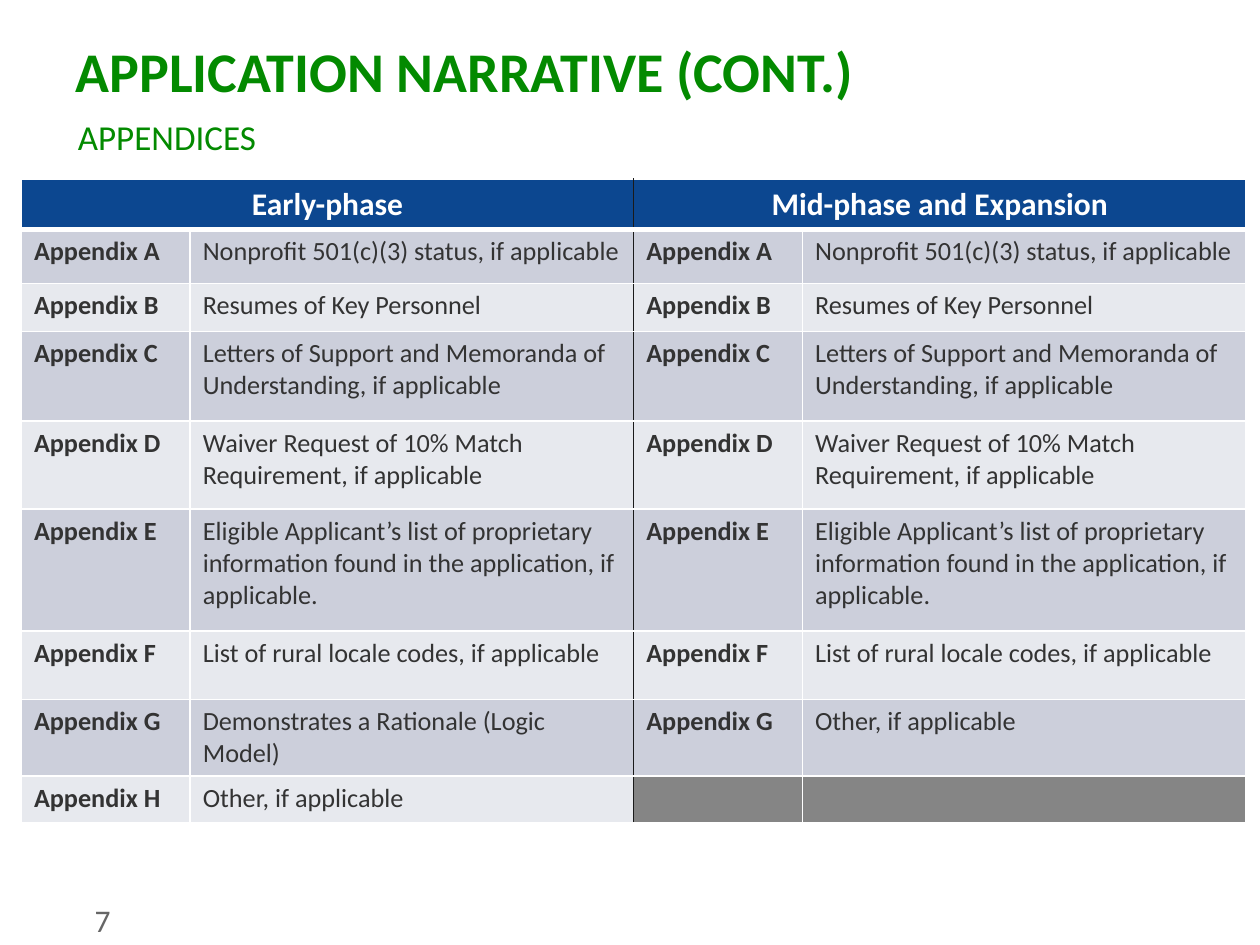
from lxml.etree import SubElement as Sub
from pptx import Presentation
from pptx.dml.color import RGBColor
from pptx.enum.text import MSO_ANCHOR as Anchor, PP_ALIGN as Align
from pptx.oxml.ns import qn
from pptx.util import Inches, Pt

GREEN, WHITE, DARK = "038A00", "FFFFFF", "1A1A1A"


def write(frame, text, size, color, bold=False, align=Align.LEFT):
    frame.word_wrap = True
    para = frame.paragraphs[0]
    para.text = text
    para.alignment = align
    font = para.font
    font.name, font.size, font.bold = "Calibri", Pt(size), bold
    font.color.rgb = RGBColor.from_string(color)


def border(cell, side, color, width):
    """Add one cell border; sides must come in the order L, R, T, B."""
    line = Sub(cell._tc.get_or_add_tcPr(), qn(f"a:ln{side}"), w=str(Pt(width)))
    fill = Sub(line, qn("a:solidFill"))
    Sub(fill, qn("a:srgbClr"), val=color)


prs = Presentation()
prs.slide_width, prs.slide_height = Inches(10), Inches(7.5)
slide = prs.slides.add_slide(prs.slide_layouts[5])

title = slide.shapes.title
title.left, title.top = Inches(0.5), Inches(0.25)
title.width, title.height = Inches(9), Inches(0.62)
title.text_frame.vertical_anchor = Anchor.MIDDLE
write(title.text_frame, "APPLICATION NARRATIVE (CONT.)", 32, GREEN, True)

topic = slide.shapes.add_textbox(Inches(0.52), Inches(0.87), Inches(9), Inches(0.55))
write(topic.text_frame, "APPENDICES", 20, GREEN)

number = slide.shapes.add_textbox(Inches(0.75), Inches(7.1), Inches(0.58), Inches(0.4))
number.text_frame.margin_left = number.text_frame.margin_right = 0
write(number.text_frame, "7", 18, "666666")

# Appendices are lettered from A in both phases
shared = [
    "Nonprofit 501(c)(3) status, if applicable",
    "Resumes of Key Personnel",
    "Letters of Support and Memoranda of Understanding, if applicable",
    "Waiver Request of 10% Match Requirement, if applicable",
    "Eligible Applicant’s list of proprietary information found in the "
    "application, if applicable.",
    "List of rural locale codes, if applicable",
]
other = "Other, if applicable"
phases = {
    "Early-phase": shared + ["Demonstrates a Rationale (Logic Model)", other],
    "Mid-phase and Expansion": shared + [other],
}
widths = [1.34, 3.52] * 2
heights = [0.39, 0.43, 0.38, 0.71, 0.7, 0.97, 0.54, 0.61, 0.37]

frame = slide.shapes.add_table(
    len(heights), len(widths), Inches(0.17), Inches(1.42),
    Inches(sum(widths)), Inches(sum(heights)))
table = frame.table
for col, width in zip(table.columns, widths):
    col.width = Inches(width)
for row, height in zip(table.rows, heights):
    row.height = Inches(height)

for r in range(len(heights)):
    for c in range(len(widths)):
        cell = table.cell(r, c)
        border(cell, "L", DARK if c == 2 else WHITE, 1)
        border(cell, "R", DARK if c == 1 or (r, c) == (0, 0) else WHITE, 1)
        border(cell, "T", WHITE, 3 if r == 1 else 1)
        border(cell, "B", WHITE, 3 if r == 0 else 1)
        cell.fill.solid()
        band = "0C4790" if r == 0 else "CCCFDB" if r % 2 else "E7E9EE"
        cell.fill.fore_color.rgb = RGBColor.from_string(band)

for c, (phase, items) in zip((0, 2), phases.items()):
    head = table.cell(0, c)
    head.merge(table.cell(0, c + 1))
    head.vertical_anchor = Anchor.MIDDLE
    write(head.text_frame, phase, 18, WHITE, True, Align.CENTER)
    for r, (letter, item) in enumerate(zip("ABCDEFGH", items), 1):
        write(table.cell(r, c).text_frame, f"Appendix {letter}", 15, "333333", True)
        write(table.cell(r, c + 1).text_frame, item, 15, "333333")

for c in (2, 3):
    blank = table.cell(8, c)
    blank.fill.fore_color.rgb = RGBColor.from_string("858585")
    blank.text_frame.paragraphs[0].font.size = Pt(15)

prs.save("out.pptx")
